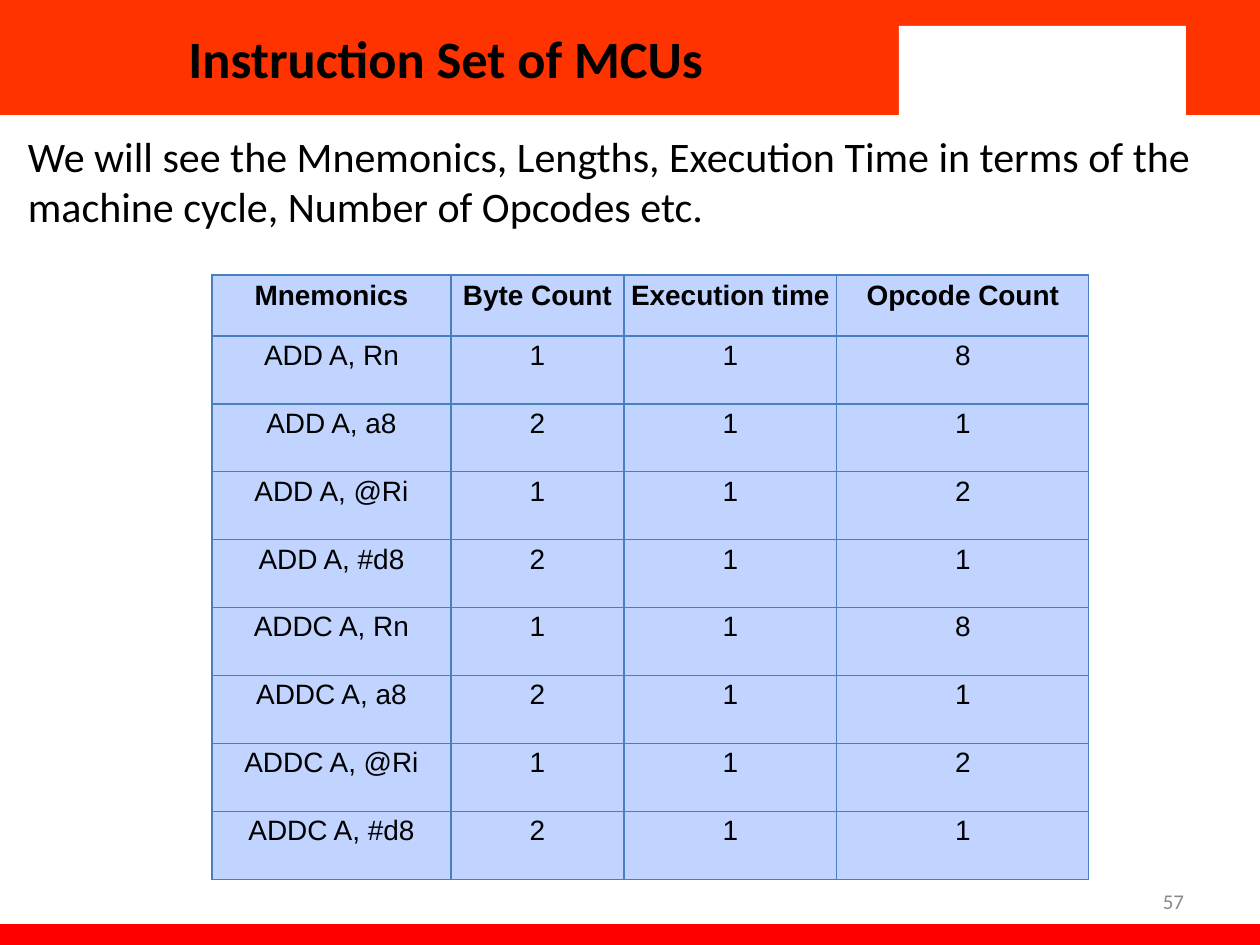
from dataclasses import dataclass

from lxml import etree
from pptx import Presentation
from pptx.dml.color import RGBColor
from pptx.enum.shapes import MSO_SHAPE
from pptx.enum.text import MSO_ANCHOR, PP_ALIGN
from pptx.oxml.ns import qn
from pptx.util import Pt

RECTANGLE = MSO_SHAPE.RECTANGLE
TOP, MIDDLE = MSO_ANCHOR.TOP, MSO_ANCHOR.MIDDLE
LEFT, CENTER, RIGHT = PP_ALIGN.LEFT, PP_ALIGN.CENTER, PP_ALIGN.RIGHT
TITLE_ONLY = 5
EMU_PER_PX = 914400 / 126
WIDTH, HEIGHT = 1260, 945


@dataclass(frozen=True)
class Theme:
    heading_font: str = "Calibri"
    table_font: str = "Arial"
    header_band: str = "FF3300"
    footer_band: str = "FF0000"
    paper: str = "FFFFFF"
    ink: str = "000000"
    muted: str = "898989"
    cell: str = "C0D4FF"
    grid: str = "4B7EBC"
    title_size: int = 30
    intro_size: int = 24
    table_size: int = 16
    number_size: int = 12
    grid_width: float = 0.75


THEME = Theme()

COLUMN_WIDTHS = [239, 173, 213, 252]
HEADER_HEIGHT, ROW_HEIGHT = 61, 68
HEADINGS = ["Mnemonics", "Byte Count", "Execution time", "Opcode Count"]
INSTRUCTIONS = [
    ("ADD A, Rn", 1, 1, 8),
    ("ADD A, a8", 2, 1, 1),
    ("ADD A, @Ri", 1, 1, 2),
    ("ADD A, #d8", 2, 1, 1),
    ("ADDC A, Rn", 1, 1, 8),
    ("ADDC A, a8", 2, 1, 1),
    ("ADDC A, @Ri", 1, 1, 2),
    ("ADDC A, #d8", 2, 1, 1),
]


def px(length):
    return round(length * EMU_PER_PX)


def write(frame, text, *, size, font=THEME.heading_font, color=THEME.ink,
          bold=False, align=LEFT):
    frame.word_wrap = True
    paragraph = frame.paragraphs[0]
    paragraph.alignment = align
    run = paragraph.add_run()
    run.text = text
    run.font.name = font
    run.font.size = Pt(size)
    run.font.bold = bold
    run.font.color.rgb = RGBColor.from_string(color)


def set_insets(holder, left, top, right, bottom):
    holder.margin_left, holder.margin_top = px(left), px(top)
    holder.margin_right, holder.margin_bottom = px(right), px(bottom)


def add_band(slide, box, color):
    band = slide.shapes.add_shape(RECTANGLE, *map(px, box))
    band.shadow.inherit = False
    band.fill.solid()
    band.fill.fore_color.rgb = RGBColor.from_string(color)
    band.line.fill.background()


def add_textbox(slide, box, text, *, anchor=TOP, indent=0, **style):
    frame = slide.shapes.add_textbox(*map(px, box)).text_frame
    set_insets(frame, 13 + indent, 6, 13, 6)
    frame.vertical_anchor = anchor
    write(frame, text, **style)


def add_header(slide, box, text):
    left, top, width, height = box
    add_band(slide, box, THEME.header_band)
    add_band(slide, (left + 899, top + 26, 287, height - 21), THEME.paper)
    title = slide.shapes.title
    title.element.getparent().append(title.element)
    title.left, title.top = px(left), px(top)
    title.width, title.height = px(892), px(height)
    frame = title.text_frame
    set_insets(frame, 13, 6, 13, 6)
    frame.vertical_anchor = MIDDLE
    write(frame, text, size=THEME.title_size, bold=True, align=CENTER)


def outline_cell(cell):
    properties = cell._tc.get_or_add_tcPr()
    for position, side in enumerate(("a:lnL", "a:lnR", "a:lnT", "a:lnB")):
        border = etree.Element(qn(side), w=str(Pt(THEME.grid_width)))
        fill = etree.SubElement(border, qn("a:solidFill"))
        etree.SubElement(fill, qn("a:srgbClr"), val=THEME.grid)
        properties.insert(position, border)


def add_instruction_table(slide, box):
    rows = [HEADINGS, *INSTRUCTIONS]
    table = slide.shapes.add_table(
        len(rows), len(HEADINGS), *map(px, box)).table
    for column, width in zip(table.columns, COLUMN_WIDTHS):
        column.width = px(width)
    for index, values in enumerate(rows):
        is_header = index == 0
        table.rows[index].height = px(HEADER_HEIGHT if is_header else ROW_HEIGHT)
        for column, value in enumerate(values):
            cell = table.cell(index, column)
            set_insets(cell, 4, 5 if is_header else 4, 4, 4)
            cell.vertical_anchor = TOP
            cell.fill.solid()
            cell.fill.fore_color.rgb = RGBColor.from_string(THEME.cell)
            outline_cell(cell)
            write(cell.text_frame, str(value), size=THEME.table_size,
                  font=THEME.table_font, bold=is_header, align=CENTER)


def add_footer(slide, box, number):
    left, top, width, height = box
    add_band(slide, box, THEME.footer_band)
    add_textbox(slide, (left + 903, top - 48, 294, 50), number, anchor=MIDDLE,
                size=THEME.number_size, color=THEME.muted, align=RIGHT)


def main():
    deck = Presentation()
    deck.slide_width, deck.slide_height = px(WIDTH), px(HEIGHT)
    slide = deck.slides.add_slide(deck.slide_layouts[TITLE_ONLY])
    add_header(slide, (0, 0, WIDTH, 115), "Instruction Set of MCUs")
    add_textbox(
        slide, (0, 124, WIDTH, 800),
        "We will see the Mnemonics, Lengths, Execution Time in terms of the "
        "machine cycle, Number of Opcodes etc.",
        indent=15, size=THEME.intro_size)
    table_height = HEADER_HEIGHT + ROW_HEIGHT * len(INSTRUCTIONS)
    add_instruction_table(slide, (212, 275, sum(COLUMN_WIDTHS), table_height))
    add_footer(slide, (0, 924, WIDTH, 21), "57")
    deck.save("out.pptx")


if __name__ == "__main__":
    main()
